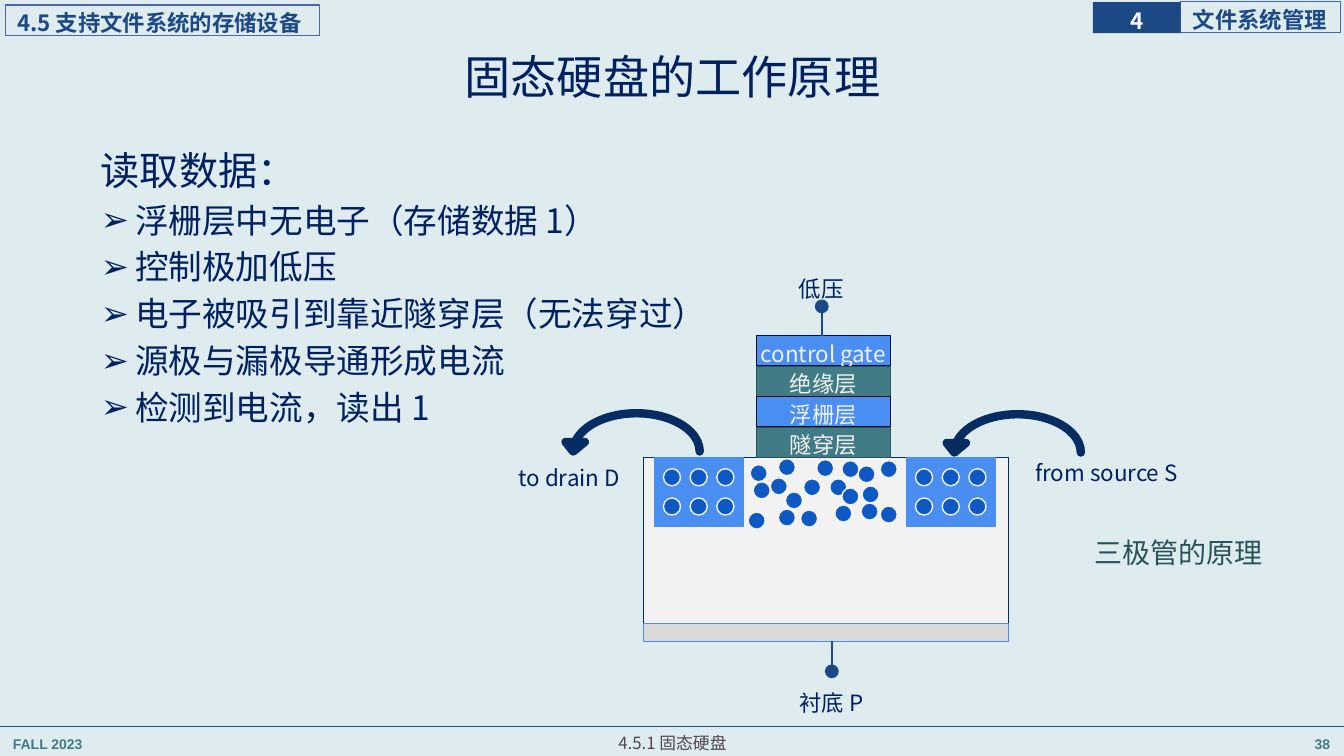
import dataclasses

import lxml.etree
import pptx
import pptx.dml.color
import pptx.enum.shapes
import pptx.enum.text
import pptx.oxml.ns
import pptx.util

SLIDE_WIDTH, SLIDE_HEIGHT = pptx.util.Inches(13.33), pptx.util.Inches(7.5)
COLUMNS, ROWS = 133.3, 75
CJK = "Noto Sans CJK SC"
NAVY, BLUE, TEAL = "002060", "1C4885", "417B85"
ELECTRODE, ELECTRON, PALE, DARK = "4A8EF2", "0E58C4", "F2F2F2", "072C62"
ELECTRON_SIZE = 1.7
FREE_ELECTRONS = [
    (5.2, 5.2), (11.3, 2.8), (10.9, 0.8), (8.1, 2.1), (13.1, 0.3), (0, 5.4), (5.5, 2.1),
    (3.7, 3.4), (2.2, 2), (0.5, 2.4), (0.2, 0.7), (8.6, 4.7), (11.2, 4.5), (9.3, 3),
    (6.8, 0.2), (3, 5.1), (9.3, 0.3), (3, 0.1), (13.1, 4.8)]
SHAPES = pptx.enum.shapes.MSO_SHAPE
ALIGN = pptx.enum.text.PP_ALIGN
ANCHOR = pptx.enum.text.MSO_ANCHOR


@dataclasses.dataclass
class Box:
    """Hold an area of the slide in grid columns and rows."""
    left: float
    top: float
    width: float = 0
    height: float = 0

    def inner(self, left, top, width=0, height=0):
        """Return an area offset from this one."""
        return Box(self.left + left, self.top + top, width, height)

    def emu(self):
        """Return the area as slide lengths."""
        column, row = SLIDE_WIDTH / COLUMNS, SLIDE_HEIGHT / ROWS
        return [round(cells * unit) for cells, unit in zip(
            (self.left, self.top, self.width, self.height), (column, row, column, row))]


def rgb(hex_string):
    """Turn a hex string into a colour."""
    return pptx.dml.color.RGBColor.from_string(hex_string)


def add_xml(parent, tag, **attributes):
    """Append a drawing element to its parent."""
    return lxml.etree.SubElement(parent, pptx.oxml.ns.qn(tag), attributes)


def write(frame, *lines, size=16, color=NAVY, font=CJK, bold=False, align=ALIGN.CENTER,
          anchor=ANCHOR.TOP, insets=(0.1, 0.05, 0.1, 0.05), spacing=1.2, before=None,
          after=None, wrap=True):
    """Write lines into a text frame and return their paragraphs."""
    frame.word_wrap, frame.vertical_anchor = wrap, anchor
    (frame.margin_left, frame.margin_top, frame.margin_right,
     frame.margin_bottom) = map(pptx.util.Inches, insets)
    paragraphs = []
    for number, line in enumerate(lines):
        paragraph = frame.add_paragraph() if number else frame.paragraphs[0]
        paragraph.alignment, paragraph.line_spacing = align, spacing
        paragraph.space_before = pptx.util.Pt(size * 0.1 if before is None else before)
        paragraph.space_after = pptx.util.Pt(size * 0.1 if after is None else after)
        run = paragraph.add_run()
        run.text = line
        run.font.size, run.font.bold, run.font.name = pptx.util.Pt(size), bold, font
        run.font.color.rgb = rgb(color)
        add_xml(run.font._element, "a:ea", typeface=font)
        paragraphs.append(paragraph)
    return paragraphs


def label(slide, box, *lines, **text_format):
    """Place free text in a box."""
    return write(slide.shapes.add_textbox(*box.emu()).text_frame, *lines, **text_format)


def draw(parent, kind, box, fill=None, line=None, weight=0.75):
    """Draw a preset shape in a box."""
    shape = parent.shapes.add_shape(kind, *box.emu())
    shape.shadow.inherit = False
    if fill:
        shape.fill.solid()
        shape.fill.fore_color.rgb = rgb(fill)
    else:
        shape.fill.background()
    if line:
        shape.line.color.rgb = rgb(line)
        shape.line.width = pptx.util.Pt(weight)
    else:
        shape.line.fill.background()
    return shape


def connect(slide, start, columns, rows, color, weight, dot=False):
    """Draw a straight line, with a dot at its end if wanted."""
    left, top = start.emu()[:2]
    right, bottom = start.inner(columns, rows).emu()[:2]
    wire = slide.shapes.add_connector(
        pptx.enum.shapes.MSO_CONNECTOR.STRAIGHT, left, top, right, bottom)
    wire.line.color.rgb = rgb(color)
    wire.line.width = pptx.util.Pt(weight)
    if dot:
        add_xml(wire.line._get_or_add_ln(), "a:tailEnd", type="oval", w="lg", len="lg")
    add_xml(wire._element.spPr, "a:effectLst")


def add_header(slide, box):
    """Place the section box on the left and the chapter box on the right."""
    heading = dict(color=BLUE, bold=True, anchor=ANCHOR.MIDDLE, insets=(0.12, 0, 0, 0))
    section = draw(slide, SHAPES.RECTANGLE, box.inner(0.5, 0.5, 31.2, 3), line="4A66AC")
    write(section.text_frame, "4.5 支持文件系统的存储设备", align=ALIGN.LEFT, **heading)
    chapter = slide.shapes.add_group_shape()
    name = draw(chapter, SHAPES.RECTANGLE, box.inner(117.1, 0.2, 15.9, 3), line="4A66AC")
    write(name.text_frame, "文件系统管理", align=ALIGN.JUSTIFY, **heading)
    number = draw(chapter, SHAPES.RECTANGLE, box.inner(108.4, 0.2, 8.7, 3.1), BLUE)
    write(number.text_frame, "4", color="FFFFFF", bold=True, anchor=ANCHOR.MIDDLE,
          insets=(0, 0, 0, 0), wrap=False)


def add_footer(slide, box):
    """Place the rule, term, topic and page number."""
    connect(slide, box, box.width, 0, "234F77", 0.5)
    small = dict(size=10, font="Arial", color=TEAL, bold=True)
    label(slide, box.inner(0.3, 0, 27.8, 3.1), "FALL 2023", align=ALIGN.LEFT, **small)
    label(slide, box.inner(105.1, 0, 27.8, 3.1), "38", align=ALIGN.RIGHT, **small)
    label(slide, box.inner(16.7, -0.3, 100, 3.2), "4.5.1 固态硬盘", size=12, color="504652")


def add_reading_steps(slide, box):
    """Place the title and the steps of reading data."""
    body = dict(insets=(0.08, 0.04, 0.08, 0.04), spacing=0.9, after=0)
    label(slide, box.inner(0, 0, box.width, 7.7), "固态硬盘的工作原理", size=33, before=0,
          anchor=ANCHOR.MIDDLE, **body)
    steps = label(
        slide, box.inner(0, 10.6, box.width, 56.4), "读取数据：", "浮栅层中无电子（存储数据 1）",
        "控制极加低压", "电子被吸引到靠近隧穿层（无法穿过）", "源极与漏极导通形成电流",
        "检测到电流，读出 1", size=24, before=7.5, align=ALIGN.LEFT, **body)
    steps[0].runs[0].font.size = pptx.util.Pt(28)
    indent = pptx.util.Inches(0.34)
    for step in steps[1:]:
        properties = step._p.get_or_add_pPr()
        properties.set("marL", str(indent))
        properties.set("indent", str(-indent))
        add_xml(properties, "a:buFont", typeface="Arial")
        add_xml(properties, "a:buChar", char="➢")


def add_electron(parent, box):
    """Draw one electron at the corner of a box."""
    draw(parent, SHAPES.OVAL, box.inner(0, 0, ELECTRON_SIZE, ELECTRON_SIZE), ELECTRON, PALE, 1)


def add_electrode(slide, box):
    """Draw an electrode with two rows of three electrons."""
    electrode = slide.shapes.add_group_shape()
    draw(electrode, SHAPES.RECTANGLE, box, ELECTRODE, ELECTRODE)
    for row in range(2):
        for column in range(3):
            add_electron(electrode, box.inner(0.9 + 2.65 * column, 1.1 + 2.9 * row))


def add_gate(slide, box):
    """Stack the gate layers from the top down."""
    pitch = box.height / 4
    for row, layer in enumerate(("control gate", "绝缘层", "浮栅层", "隧穿层")):
        fill, edge = (TEAL, "2B5259") if row % 2 else (ELECTRODE, "031227")
        shape = draw(slide, SHAPES.RECTANGLE, box.inner(0, row * pitch, box.width, 3), fill, edge)
        write(shape.text_frame, layer, color=PALE, anchor=ANCHOR.MIDDLE, insets=(0, 0, 0, 0))


def add_current(slide, box):
    """Draw a current arrow that bends over to the left."""
    arrow = draw(slide, SHAPES.CURVED_UP_ARROW, box, line=DARK, weight=6)
    for number, share in enumerate((0, 0.5, 0.25)):
        arrow.adjustments[number] = share
    frame = arrow._element.spPr.xfrm
    frame.set("flipH", "1")
    frame.set("flipV", "1")


def add_transistor(slide, box):
    """Draw the transistor with its gate, electrodes, currents and labels."""
    draw(slide, SHAPES.RECTANGLE, box, PALE, DARK)
    draw(slide, SHAPES.RECTANGLE, box.inner(0, 16.5, box.width, 1.7), "D9D9D9", ELECTRODE)
    for left in (1.1, 26.1):
        add_electrode(slide, box.inner(left, 0, 8.8, 6.8))
    add_gate(slide, box.inner(11.2, -12.1, 13.3, 12.1))
    connect(slide, box.inner(17.7, -12.1), 0, -2.9, BLUE, 1.25, dot=True)
    connect(slide, box.inner(18.7, box.height), 0, 3, BLUE, 1.25, dot=True)
    label(slide, box.inner(9.5, -19.1, 16.3, 4), "低压")
    label(slide, box.inner(-16.1, -0.4, 17.5, 4), "to drain D")
    label(slide, box.inner(37.2, -0.9, 17.5, 4), "from source S")
    label(slide, box.inner(12.7, 21.9, 11.9, 4), "衬底 P")
    for left, top in FREE_ELECTRONS:
        add_electron(slide, box.inner(10.4 + left, top))
    for left, top in ((29.9, -4.3), (-7.9, -4.4)):
        add_current(slide, box.inner(left, top, 13.5, 3.8))
    label(slide, box.inner(39.6, 6.6, 27, 4.7), "三极管的原理", size=20, color="2B5259")


def main():
    """Build the slide and save it."""
    deck = pptx.Presentation()
    deck.slide_width, deck.slide_height = SLIDE_WIDTH, SLIDE_HEIGHT
    slide = deck.slides.add_slide(deck.slide_layouts[6])
    slide.background.fill.solid()
    slide.background.fill.fore_color.rgb = rgb("DEECEF")
    add_header(slide, Box(0, 0, COLUMNS, 3.5))
    add_footer(slide, Box(0, 72.1, COLUMNS, 2.9))
    add_reading_steps(slide, Box(9.2, 4, 115, 67))
    add_transistor(slide, Box(63.8, 45.4, 36.2, 18.2))
    deck.save("out.pptx")


if __name__ == "__main__":
    main()
